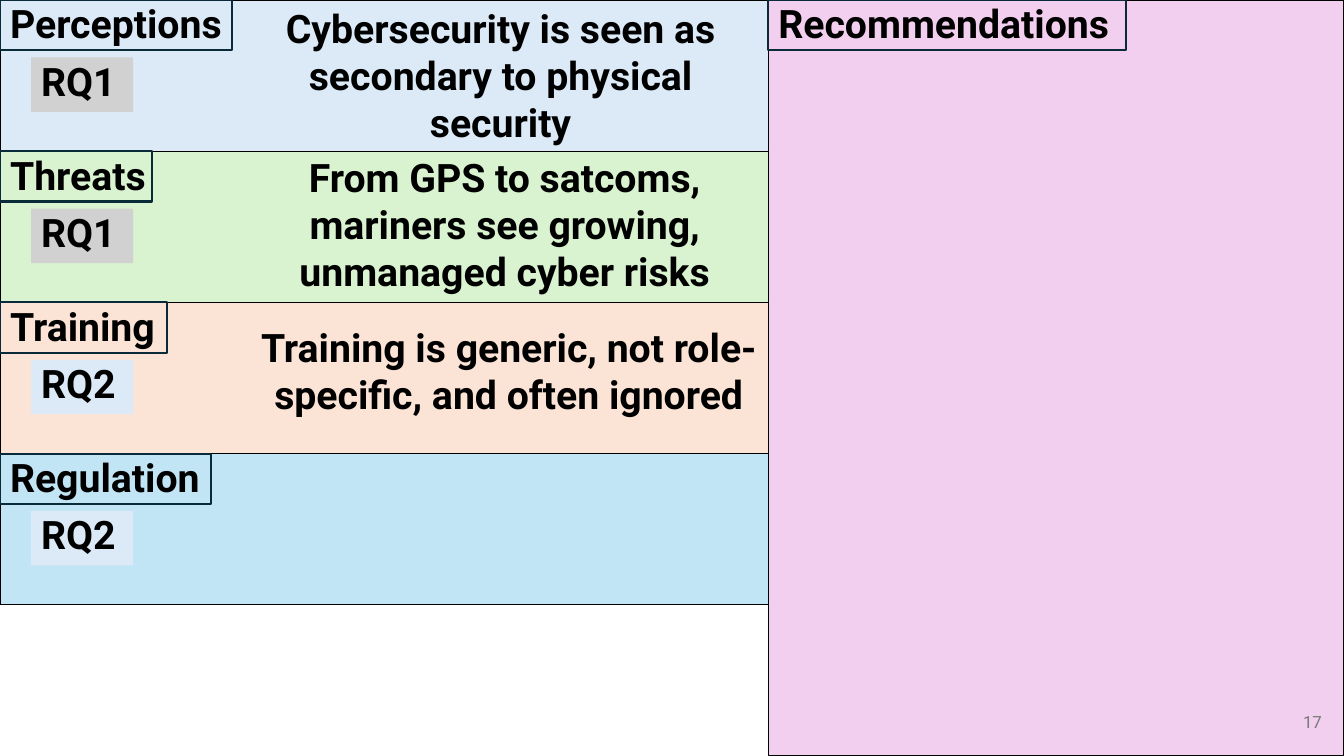
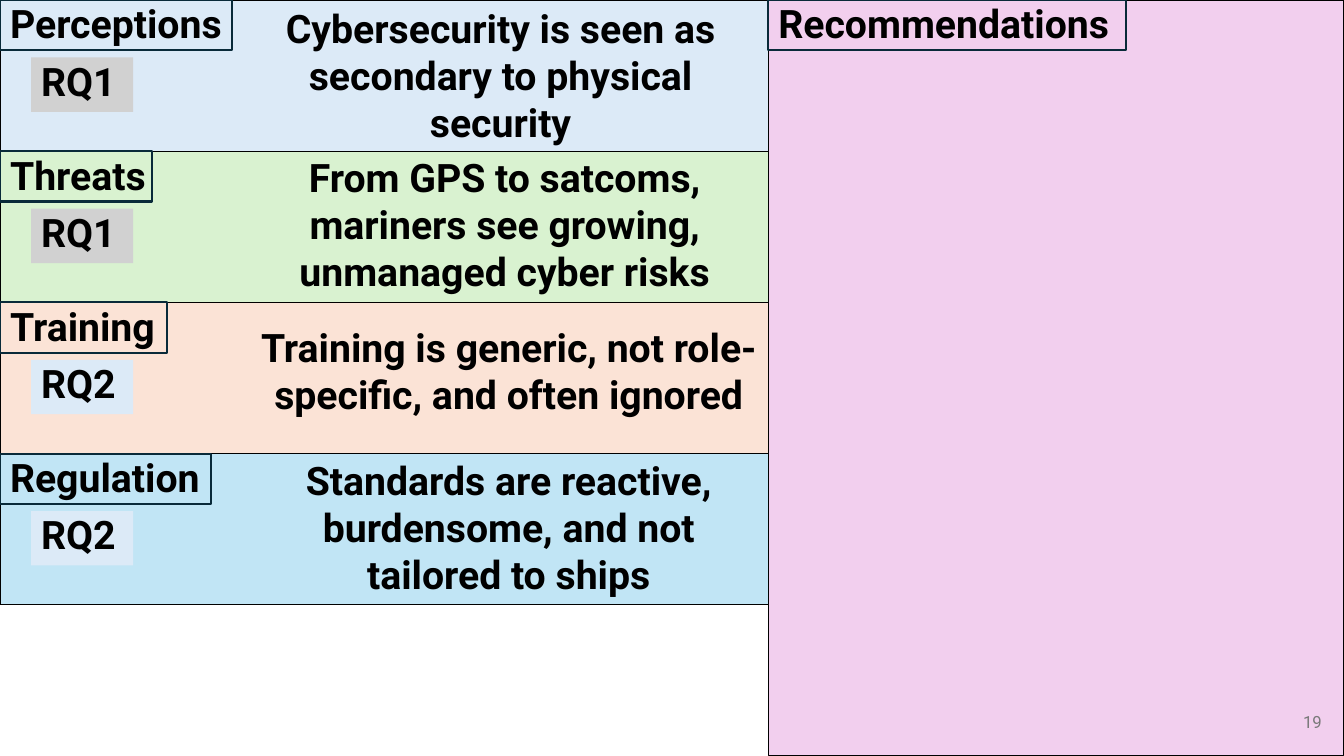
from dataclasses import dataclass

from lxml.etree import SubElement
from pptx import Presentation
from pptx.dml.color import RGBColor
from pptx.enum.shapes import MSO_SHAPE
from pptx.enum.text import MSO_ANCHOR, MSO_AUTO_SIZE, PP_ALIGN
from pptx.oxml.ns import qn
from pptx.util import Inches, Pt

# Shared grid: the themes take 4 of 7 columns, each band 1 of 5 rows
WIDTH, HEIGHT = 13.33, 7.5
COLUMN, ROW = WIDTH / 7, HEIGHT / 5
FONT = "Roboto"
COLOURS = {
    "text": "000000", "tag": "092A39", "number": "797979",
    "perceptions": "DCEAF7", "threats": "D9F2D0", "training": "FBE3D6",
    "regulation": "C1E5F5", "recommendations": "F2CFEE",
    "RQ1": "D1D1D1", "RQ2": "DCEAF7",
}


@dataclass
class Box:
    left: float
    top: float
    width: float
    height: float

    def inside(self, left, top, width, height):
        return Box(self.left + left, self.top + top, width, height)

    def lengths(self):
        return [Inches(round(value, 2)) for value in
                (self.left, self.top, self.width, self.height)]


@dataclass
class Theme:
    heading: str
    tag_width: float
    question: str
    finding: str
    finding_box: tuple  # left, top, width, height within the band


THEMES = [
    Theme("Perceptions", 2.3, "RQ1",
          "Cybersecurity is seen as secondary to physical security",
          (2.31, -0.01, 5.31, 1.5)),
    Theme("Threats", 1.51, "RQ1",
          "From GPS to satcoms, mariners see growing, unmanaged cyber risks",
          (2.39, -0.03, 5.23, 1.5)),
    Theme("Training", 1.66, "RQ2",
          "Training is generic, not role-specific, and often ignored",
          (2.39, 0.16, 5.31, 1.04)),
    Theme("Regulation", 2.09, "RQ2",
          "Standards are reactive, burdensome, and not tailored to ships",
          (2.39, -0.02, 5.31, 1.5)),
]


def colour(name):
    return RGBColor.from_string(COLOURS[name])


def write(shape, text, align=PP_ALIGN.LEFT, anchor=MSO_ANCHOR.TOP,
          size=28, bold=True, text_colour="text", spacing=1.0):
    frame = shape.text_frame
    frame.text = text
    frame.word_wrap = True
    frame.auto_size = MSO_AUTO_SIZE.NONE
    frame.vertical_anchor = anchor
    paragraph = frame.paragraphs[0]
    paragraph.alignment = align
    paragraph.line_spacing = spacing
    paragraph.space_before = Pt(0)
    # No bullet and no hanging indent
    properties = paragraph._p.get_or_add_pPr()
    properties.set("marL", "0")
    properties.set("indent", "0")
    SubElement(properties, qn("a:buNone"))
    font = paragraph.font
    font.name, font.size, font.bold = FONT, Pt(size), bold
    font.color.rgb = colour(text_colour)


def add_rectangle(slide, box, fill=None, line=None):
    shape = slide.shapes.add_shape(MSO_SHAPE.RECTANGLE, *box.lengths())
    shape.shadow.inherit = False
    if fill:
        shape.fill.solid()
        shape.fill.fore_color.rgb = colour(fill)
    else:
        shape.fill.background()
    if line:
        shape.line.color.rgb = colour(line)
        shape.line.width = Pt(1.5)
    else:
        shape.line.fill.background()
    return shape


def fill_panel(slide, placeholder, box, heading, tag_width):
    """A coloured panel with an outlined heading in its top left corner."""
    placeholder.left, placeholder.top, placeholder.width, placeholder.height = box.lengths()
    placeholder.fill.solid()
    placeholder.fill.fore_color.rgb = colour(heading.lower())
    placeholder.line.color.rgb = colour("text")
    placeholder.line.width = Pt(0.75)
    write(placeholder, heading, spacing=0.9)
    add_rectangle(slide, box.inside(0, 0, tag_width, 0.5), line="tag")


def add_text(slide, box, text, **style):
    write(slide.shapes.add_textbox(*box.lengths()), text, **style)


def fill_band(slide, placeholder, box, theme, show_finding):
    fill_panel(slide, placeholder, box, theme.heading, theme.tag_width)
    chip = add_rectangle(slide, box.inside(0.31, 0.57, 1.01, 0.54), fill=theme.question)
    write(chip, theme.question, spacing=0.9)
    if show_finding:
        add_text(slide, box.inside(*theme.finding_box), theme.finding,
                 align=PP_ALIGN.CENTER)


def add_summary_slide(presentation, number, finding_count):
    # The comparison layout has a title and four body placeholders
    slide = presentation.slides.add_slide(presentation.slide_layouts[4])

    # Recommendations panel
    panel = Box(4 * COLUMN, 0, 3 * COLUMN, HEIGHT)
    fill_panel(slide, slide.shapes.title, panel, "Recommendations", 3.55)

    # Theme bands
    for index, theme in enumerate(THEMES):
        band = Box(0, index * ROW, 4 * COLUMN, ROW)
        fill_band(slide, slide.placeholders[index + 1], band, theme,
                  index < finding_count)

    # Slide number
    add_text(slide, panel.inside(panel.width - 3.12, HEIGHT - 0.54, 3, 0.4), str(number),
             align=PP_ALIGN.RIGHT, anchor=MSO_ANCHOR.MIDDLE,
             size=12, bold=False, text_colour="number")


def main():
    presentation = Presentation()
    presentation.slide_width, presentation.slide_height = Inches(WIDTH), Inches(HEIGHT)
    for number, finding_count in ((17, 3), (19, 4)):
        add_summary_slide(presentation, number, finding_count)
    presentation.save("out.pptx")


if __name__ == "__main__":
    main()
